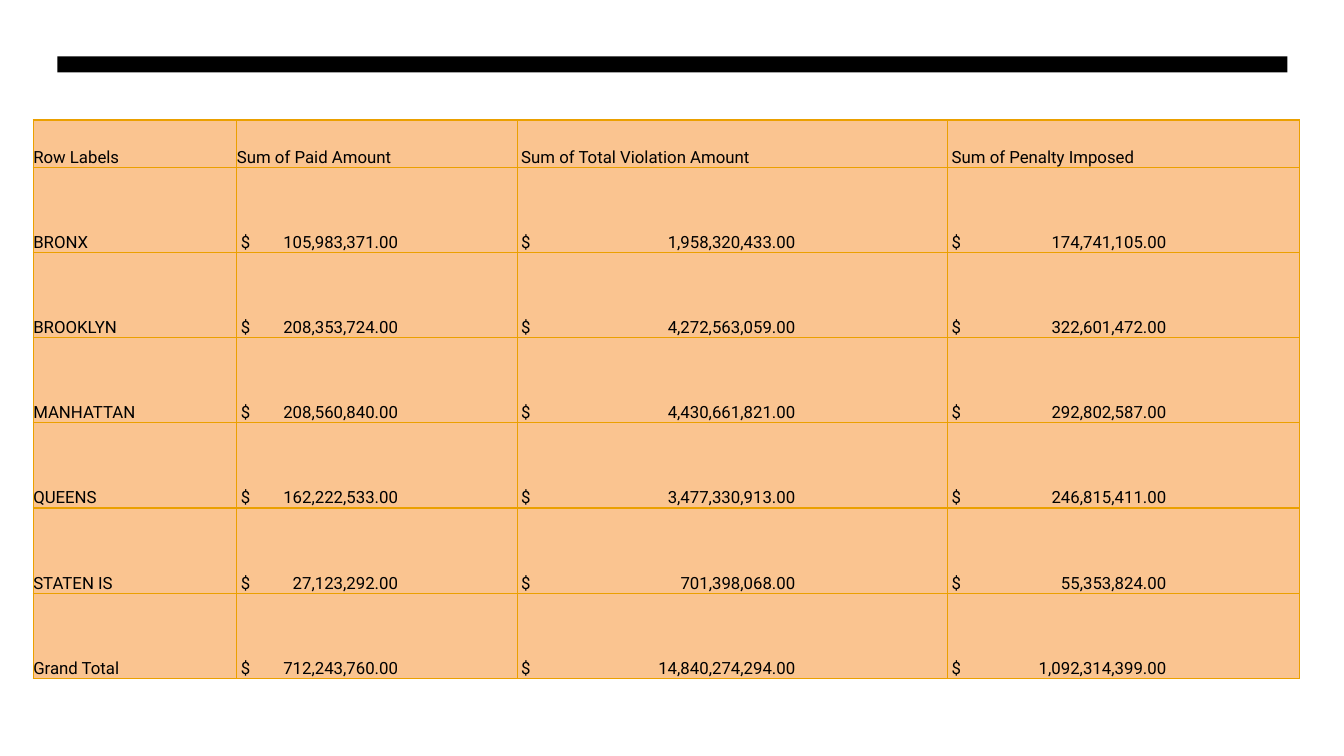
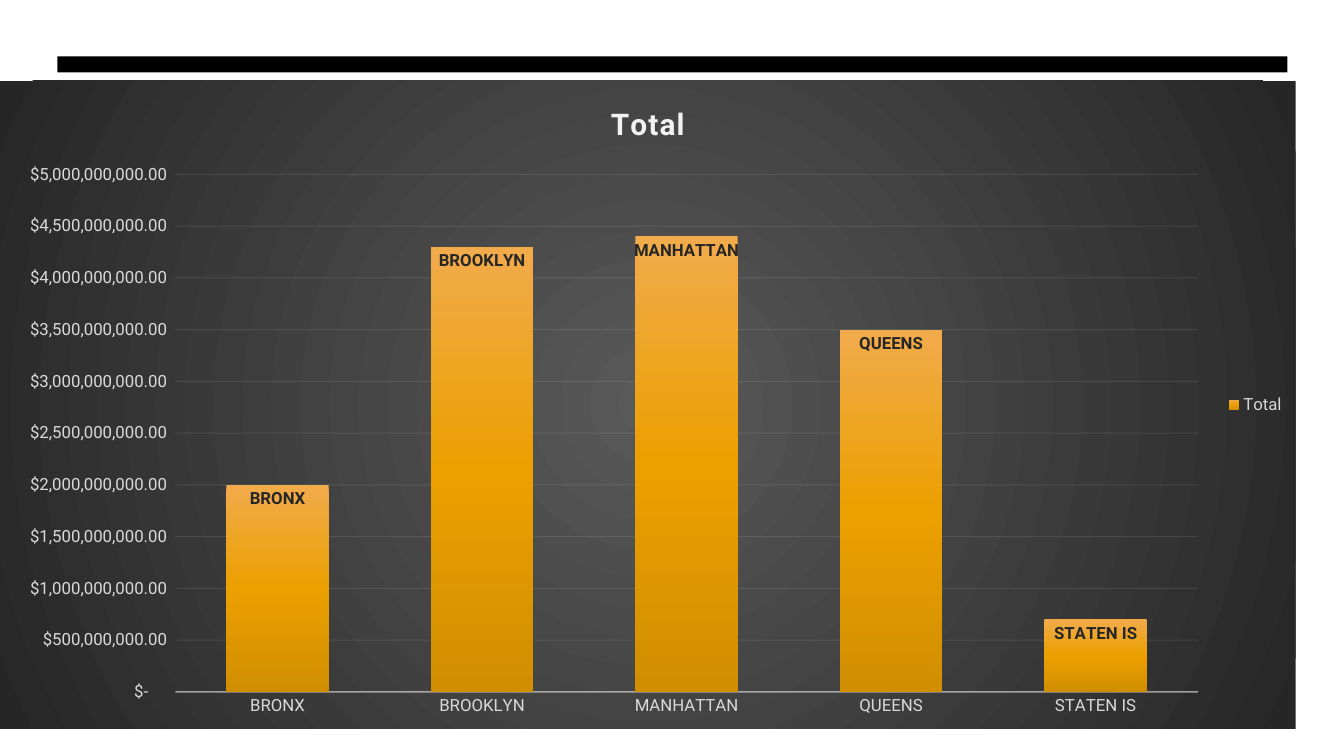
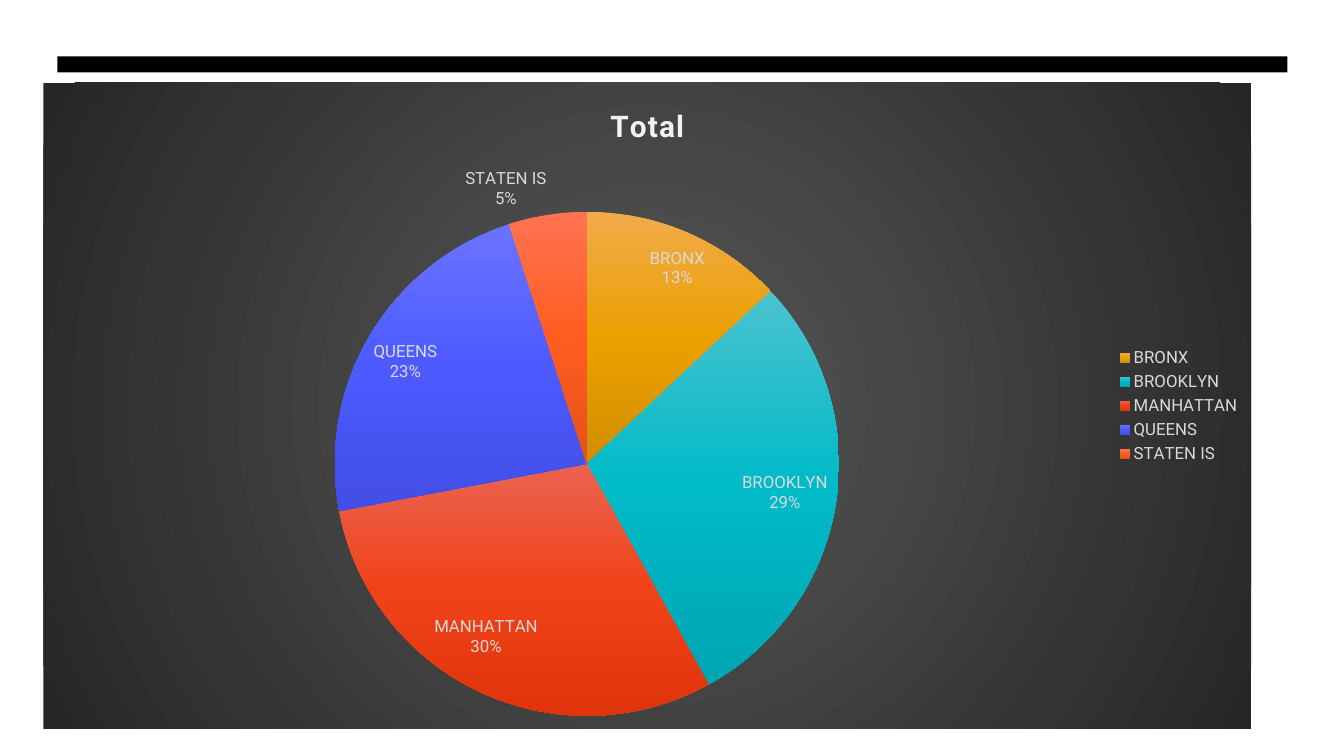
from lxml.etree import SubElement
from pptx import Presentation
from pptx.chart.data import CategoryChartData
from pptx.dml.color import RGBColor
from pptx.enum.chart import XL_CHART_TYPE as ChartType
from pptx.enum.chart import XL_LABEL_POSITION as LabelPosition
from pptx.enum.chart import XL_LEGEND_POSITION as LegendPosition
from pptx.enum.chart import XL_TICK_MARK as TickMark
from pptx.enum.shapes import MSO_SHAPE as Shape
from pptx.enum.text import MSO_ANCHOR as Anchor
from pptx.oxml import parse_xml
from pptx.oxml.ns import nsdecls, qn
from pptx.util import Inches, Pt

FONT = "Roboto"
BLACK = "000000"
WHITE_SMOKE = "F2F2F2"
LIGHT_GRAY = "D9D9D9"
CHARCOAL = "262626"
GOLD = "EBA000"
PEACH = "FAC490"

GOLD_FADE = ("F1AB4B", GOLD, "D18E00")
SLICE_FADES = (
    GOLD_FADE,
    ("4BC2D0", "00BAC8", "00A5B2"),
    ("EB6451", "F04219", "E0340C"),
    ("6A73FF", "4D5AFF", "424EE5"),
    ("FF7351", "FF5D20", "E5511A"),
)
DOWNWARD = '<a:lin ang="5400000" scaled="0"/>'
FROM_CENTRE = (
    '<a:path path="circle">'
    '<a:fillToRect l="50000" t="50000" r="50000" b="50000"/></a:path>'
)
DOLLARS = '_("$"* #,##0.00_);_("$"* \\(#,##0.00\\);_("$"* "-"??_);_(@_)'

BOROUGHS = ("BRONX", "BROOKLYN", "MANHATTAN", "QUEENS", "STATEN IS")
VIOLATION_TOTALS = (2_000_000_000, 4_300_000_000, 4_400_000_000,
                    3_500_000_000, 700_000_000)
VIOLATION_SHARES = (13, 29, 30, 23, 5)

HEADINGS = ("Row Labels", "Sum of Paid Amount",
            "Sum of Total Violation Amount", "Sum of Penalty Imposed")
AMOUNTS = (
    ("BRONX", "105,983,371.00", "1,958,320,433.00", "174,741,105.00"),
    ("BROOKLYN", "208,353,724.00", "4,272,563,059.00", "322,601,472.00"),
    ("MANHATTAN", "208,560,840.00", "4,430,661,821.00", "292,802,587.00"),
    ("QUEENS", "162,222,533.00", "3,477,330,913.00", "246,815,411.00"),
    ("STATEN IS", "27,123,292.00", "701,398,068.00", "55,353,824.00"),
    ("Grand Total", "712,243,760.00", "14,840,274,294.00", "1,092,314,399.00"),
)
COLUMN_WIDTHS = (2.02, 2.78, 4.27, 3.49)
AMOUNT_TABS = (None, 1.56, 2.72, 2.13)
TABLE_HEIGHT = 5.54
HEADING_HEIGHT = 0.47
AMOUNT_HEIGHT = (TABLE_HEIGHT - HEADING_HEIGHT) / len(AMOUNTS)


def color(value):
    return RGBColor.from_string(value)


def style_font(font, size, value, bold=False):
    font.name = FONT
    font.size = Pt(size)
    font.bold = bold
    font.color.rgb = color(value)


def add_page(deck):
    page = deck.slides.add_slide(deck.slide_layouts[6])
    band = page.shapes.add_shape(
        Shape.RECTANGLE, Inches(0.57), Inches(0.56), Inches(12.2), Inches(0.16))
    band.shadow.inherit = False
    band.fill.solid()
    band.fill.fore_color.rgb = color(BLACK)
    band.line.fill.background()
    return page


def add_cell_borders(cell):
    properties = cell._tc.get_or_add_tcPr()
    for side in ("lnL", "lnR", "lnT", "lnB"):
        line = SubElement(properties, qn(f"a:{side}"), w=str(Pt(1)))
        fill = SubElement(line, qn("a:solidFill"))
        SubElement(fill, qn("a:srgbClr"), val=GOLD)


def add_right_tab(para, position):
    tabs = SubElement(para._p.get_or_add_pPr(), qn("a:tabLst"))
    SubElement(tabs, qn("a:tab"), pos=str(Inches(position)), algn="r")


def fill_cell(cell, text, indent=0, tab=None):
    cell.margin_left = Inches(indent)
    cell.margin_right = cell.margin_top = cell.margin_bottom = 0
    cell.vertical_anchor = Anchor.BOTTOM
    add_cell_borders(cell)
    cell.fill.solid()
    cell.fill.fore_color.rgb = color(PEACH)
    para = cell.text_frame.paragraphs[0]
    if tab:
        add_right_tab(para, tab)
        text = f"$\t{text}"
    span = para.add_run()
    span.text = text
    style_font(span.font, 12, BLACK)


def add_amount_table(page):
    table = page.shapes.add_table(
        len(AMOUNTS) + 1, len(HEADINGS), Inches(0.33), Inches(1.19),
        Inches(sum(COLUMN_WIDTHS)), Inches(TABLE_HEIGHT)).table
    table.first_row = table.horz_banding = False
    for column, width in zip(table.columns, COLUMN_WIDTHS):
        column.width = Inches(width)
    for row in table.rows:
        row.height = Inches(AMOUNT_HEIGHT)
    table.rows[0].height = Inches(HEADING_HEIGHT)
    for index, heading in enumerate(HEADINGS):
        fill_cell(table.cell(0, index), heading, 0.04 if index > 1 else 0)
    for row_index, record in enumerate(AMOUNTS, 1):
        for index, (text, tab) in enumerate(zip(record, AMOUNT_TABS)):
            fill_cell(table.cell(row_index, index), text, 0.04 if tab else 0, tab)


def gradient_xml(stops, direction, declarations=""):
    step = 100000 // (len(stops) - 1)
    marks = "".join(
        f'<a:gs pos="{index * step}"><a:srgbClr val="{stop}"/></a:gs>'
        for index, stop in enumerate(stops))
    return (f"<a:gradFill {declarations}><a:gsLst>{marks}</a:gsLst>"
            f"{direction}</a:gradFill>")


def shade_series(chart, parts, fades):
    for part in parts:
        part.format.fill.gradient()
    for old, fade in zip(chart.element.xpath(".//c:ser//a:gradFill"), fades):
        new = parse_xml(gradient_xml(fade, DOWNWARD, nsdecls("a")))
        old.getparent().replace(old, new)


def shade_background(chart):
    fill = gradient_xml(("595959", CHARCOAL), FROM_CENTRE)
    chart.element.find(qn("c:chart")).addnext(parse_xml(
        f'<c:spPr {nsdecls("c", "a")}>{fill}<a:ln><a:noFill/></a:ln></c:spPr>'))


def set_opacity(chart, owner, percent):
    for tone in chart.element.xpath(f".//{owner}//a:srgbClr"):
        SubElement(tone, qn("a:alpha"), val=str(percent * 1000))


def add_chart(page, kind, values, left, top, width, height):
    data = CategoryChartData()
    data.categories = BOROUGHS
    data.add_series("Total", values)
    chart = page.shapes.add_chart(
        kind, Inches(left), Inches(top), Inches(width), Inches(height), data).chart
    style_font(chart.font, 10, BLACK)
    shade_background(chart)
    chart.has_title = True
    span = chart.chart_title.text_frame.paragraphs[0].add_run()
    span.text = "Total"
    style_font(span.font, 21.3, WHITE_SMOKE, bold=True)
    span.font._element.set("spc", "100")
    chart.has_legend = True
    chart.legend.position = LegendPosition.RIGHT
    chart.legend.include_in_layout = False
    style_font(chart.legend.font, 12, LIGHT_GRAY)
    return chart


def add_labels(series, position, value, bold=False):
    labels = series.data_labels
    labels.show_value = False
    labels.show_category_name = True
    labels.position = position
    style_font(labels.font, 12, value, bold)
    return labels


def style_line(line, width):
    line.width = Pt(width)
    line.color.rgb = color(WHITE_SMOKE)


def style_axes(chart):
    for axis in (chart.category_axis, chart.value_axis):
        axis.major_tick_mark = axis.minor_tick_mark = TickMark.NONE
        style_font(axis.tick_labels.font, 12, LIGHT_GRAY)
    style_line(chart.category_axis.format.line, 1)
    set_opacity(chart, "c:catAx/c:spPr", 54)
    amounts = chart.value_axis
    amounts.minimum_scale = 0
    amounts.maximum_scale = 5_000_000_000
    amounts.major_unit = 500_000_000
    amounts.format.line.fill.background()
    amounts.has_major_gridlines = True
    style_line(amounts.major_gridlines.format.line, 0.75)
    set_opacity(chart, "c:majorGridlines", 10)
    amounts.tick_labels.number_format = DOLLARS
    amounts.tick_labels.number_format_is_linked = False


def add_violation_columns(page):
    chart = add_chart(page, ChartType.COLUMN_CLUSTERED, VIOLATION_TOTALS,
                      0, 0.8, 12.85, 6.43)
    plot = chart.plots[0]
    plot.vary_by_categories = False
    plot.gap_width = 100
    plot.overlap = -24
    series = plot.series[0]
    shade_series(chart, [series], [GOLD_FADE])
    add_labels(series, LabelPosition.INSIDE_END, CHARCOAL, bold=True)
    style_axes(chart)


def place_plot(chart, **fractions):
    area = chart.element.xpath(".//c:plotArea")[0]
    for old in area.findall(qn("c:layout")):
        area.remove(old)
    settings = {"layoutTarget": "inner", "xMode": "edge", "yMode": "edge", **fractions}
    marks = "".join(f'<c:{name} val="{value}"/>' for name, value in settings.items())
    area.insert(0, parse_xml(
        f'<c:layout {nsdecls("c")}><c:manualLayout>{marks}</c:manualLayout></c:layout>'))


def add_share_pie(page):
    chart = add_chart(page, ChartType.PIE, VIOLATION_SHARES,
                      0.43, 0.82, 11.98, 6.41)
    plot = chart.plots[0]
    plot.vary_by_categories = True
    series = plot.series[0]
    slices = [series.points[index] for index in range(len(BOROUGHS))]
    shade_series(chart, slices, SLICE_FADES)
    labels = add_labels(series, LabelPosition.BEST_FIT, LIGHT_GRAY)
    labels.show_percentage = True
    labels.number_format = "0%"
    labels.number_format_is_linked = False
    for mark in chart.element.xpath(".//c:ser/c:dLbls/c:showBubbleSize"):
        mark.addnext(parse_xml(f'<c:separator {nsdecls("c")}>\n</c:separator>'))
    place_plot(chart, x=0.24, y=0.2, w=0.42, h=0.78)


def main():
    deck = Presentation()
    deck.slide_width = Inches(13.33)
    deck.slide_height = Inches(7.5)
    for add_content in (add_amount_table, add_violation_columns, add_share_pie):
        add_content(add_page(deck))
    deck.save("out.pptx")


if __name__ == "__main__":
    main()
